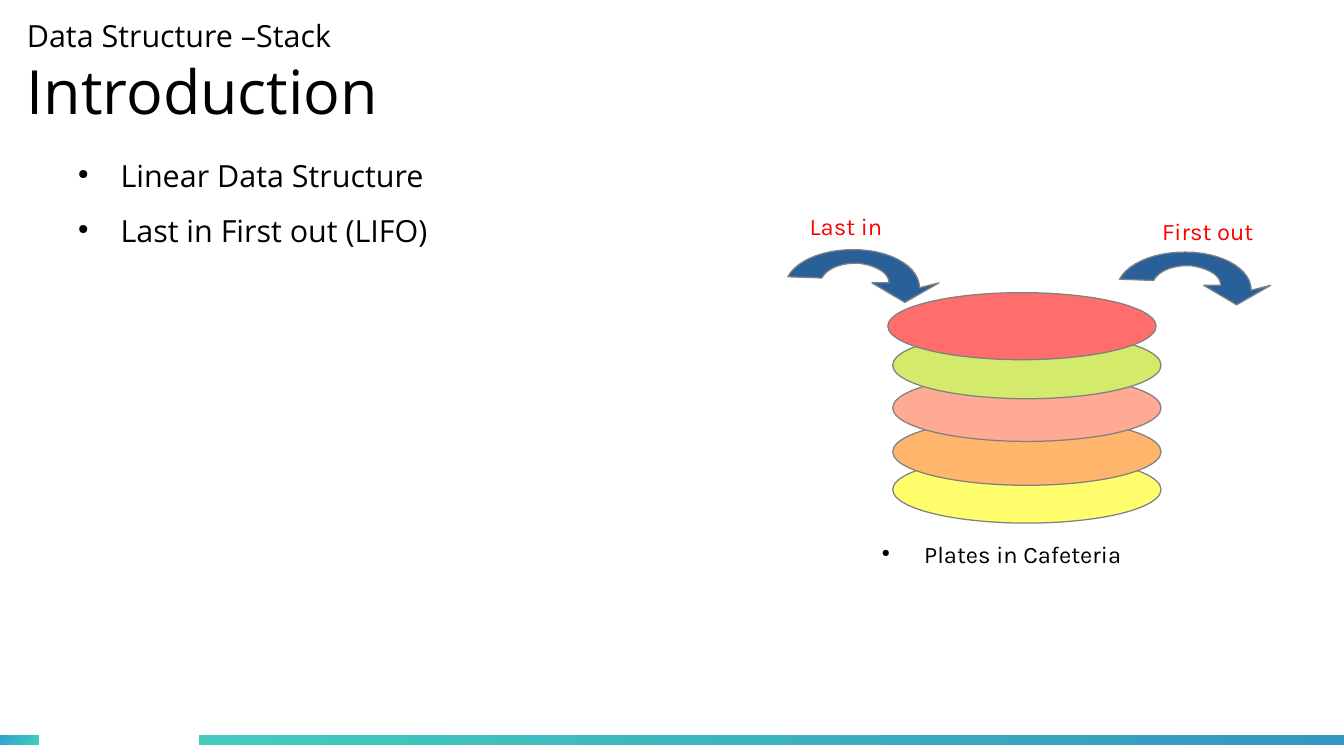
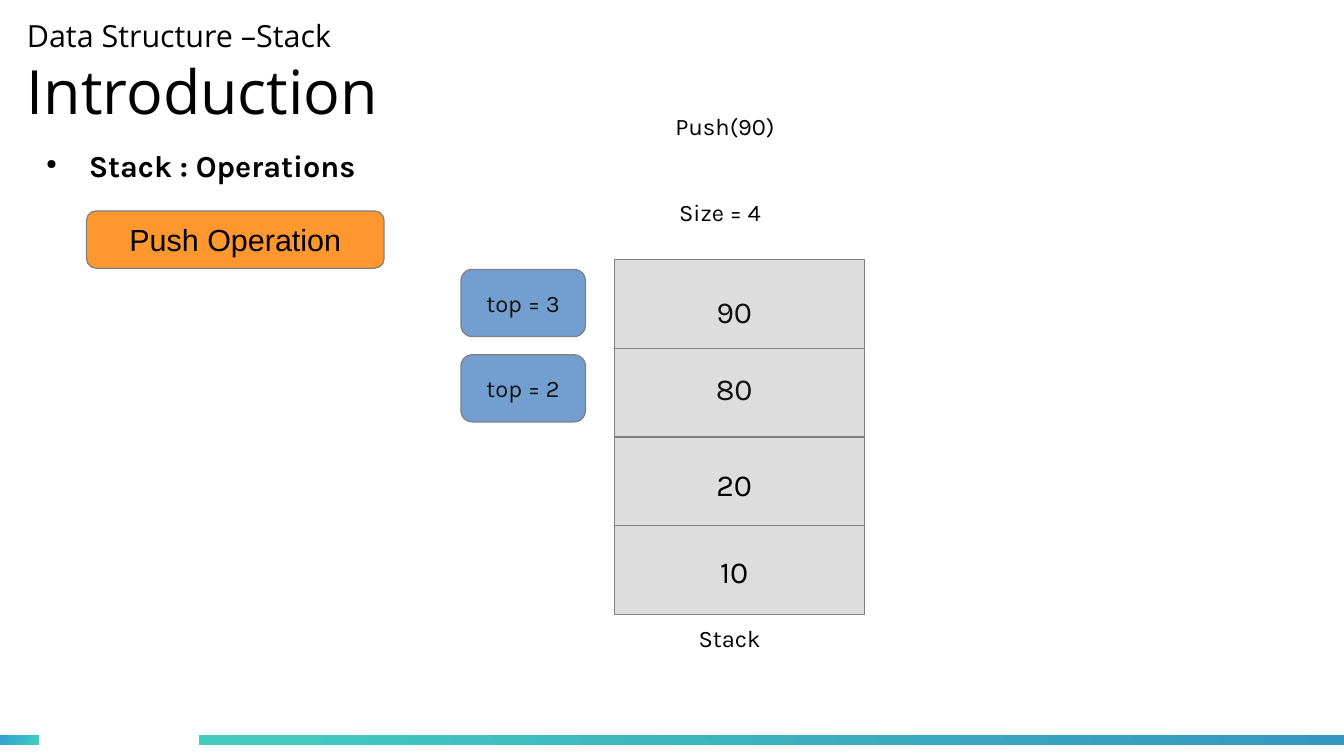
from lxml import etree
from pptx import Presentation
from pptx.dml.color import RGBColor
from pptx.enum.shapes import MSO_SHAPE
from pptx.enum.text import MSO_ANCHOR, MSO_AUTO_SIZE, PP_ALIGN
from pptx.oxml.ns import qn
from pptx.util import Inches, Pt

RECTANGLE = MSO_SHAPE.RECTANGLE
ROUNDED = MSO_SHAPE.ROUNDED_RECTANGLE
ELLIPSE = MSO_SHAPE.OVAL
MIDDLE = MSO_ANCHOR.MIDDLE
GROW = MSO_AUTO_SIZE.SHAPE_TO_FIT_TEXT
LEFT, CENTER = PP_ALIGN.LEFT, PP_ALIGN.CENTER

BLACK, INK, RED = "000000", "111111", "FF0000"
GREY, CELL, POINTER = "808080", "DDDDDD", "729FCF"
ARROW, BUTTON, TEAL = "2A6099", "FF972F", "43CCBD"
HEADING_FONT, BODY_FONT, BUTTON_FONT = "Open Sans", "Karla", "Arial"

ARROW_START = (0.83, 0.31)
ARROW_SEGMENTS = [
    [(0.83, 0.23), (0.73, 0.17), (0.59, 0.15)],
    [(0.45, 0.14), (0.32, 0.19), (0.28, 0.27)],
    [(0, 0.26)],
    [(0.08, 0.11), (0.34, 0.02), (0.61, 0.04)],
    [(0.88, 0.06), (1.08, 0.19), (1.08, 0.35)],
    [(1.24, 0.31)],
    [(0.96, 0.47)],
    [(0.69, 0.31)],
]
CURVE_STEPS = 12


def color(value):
    return RGBColor.from_string(value)


def style_span(span, size, font=BODY_FONT, ink=BLACK, bold=False):
    span.font.size = Pt(size)
    span.font.name = font
    span.font.color.rgb = color(ink)
    span.font.bold = bold


def style_shape(shape, fill, outlined=True):
    shape.shadow.inherit = False
    shape.fill.solid()
    shape.fill.fore_color.rgb = color(fill)
    if outlined:
        shape.line.color.rgb = color(GREY)
        shape.line.width = Pt(0)
    else:
        shape.line.fill.background()


def add_block(shapes, kind, left, top, width, height, fill, outlined=True):
    block = shapes.add_shape(kind, Inches(left), Inches(top), Inches(width), Inches(height))
    style_shape(block, fill, outlined)
    return block


def write_label(block, text, size, font=BODY_FONT, ink=BLACK):
    frame = block.text_frame
    frame.text = text
    frame.word_wrap = False
    frame.vertical_anchor = MIDDLE
    para = frame.paragraphs[0]
    para.alignment = CENTER
    style_span(para.runs[0], size, font, ink)


def add_text(slide, text, left, top, width, height, size=14, font=BODY_FONT,
             ink=BLACK, bold=False, wrap=False):
    box = slide.shapes.add_textbox(Inches(left), Inches(top), Inches(width), Inches(height))
    frame = box.text_frame
    frame.text = text
    frame.word_wrap = wrap
    frame.auto_size = GROW
    para = frame.paragraphs[0]
    style_span(para.runs[0], size, font, ink, bold)
    return para


def add_bullet(slide, text, left, top, width, height, size=18, font=BODY_FONT, bold=False):
    para = add_text(slide, text, left, top, width, height, size, font, bold=bold, wrap=True)
    para.space_after = Pt(11.4)
    properties = para.runs[0].font and para._p.get_or_add_pPr()
    properties.set("marL", str(Inches(0.47)))
    properties.set("indent", str(Inches(-0.35)))
    bullet_color = etree.SubElement(properties, qn("a:buClr"))
    etree.SubElement(bullet_color, qn("a:srgbClr"), val=BLACK)
    etree.SubElement(properties, qn("a:buSzPct"), val="45000")
    etree.SubElement(properties, qn("a:buChar"), char="●")


def curve_point(points, ratio):
    rest = 1 - ratio
    weights = (rest ** 3, 3 * rest ** 2 * ratio, 3 * rest * ratio ** 2, ratio ** 3)
    return tuple(sum(weight * point[axis] for weight, point in zip(weights, points))
                 for axis in (0, 1))


def arrow_outline():
    outline = [ARROW_START]
    for segment in ARROW_SEGMENTS:
        if len(segment) == 1:
            outline += segment
        else:
            controls = [outline[-1]] + segment
            outline += [curve_point(controls, step / CURVE_STEPS)
                        for step in range(1, CURVE_STEPS + 1)]
    return outline


def add_curved_arrow(slide, left, top):
    points = [(Inches(left + x), Inches(top + y)) for x, y in arrow_outline()]
    builder = slide.shapes.build_freeform(*points[0])
    builder.add_line_segments(points[1:], close=True)
    style_shape(builder.convert_to_shape(), ARROW)


def add_footer_bands(slide):
    layout = slide.slide_layout
    for holder in list(layout.placeholders)[1:]:
        layout.shapes.element.remove(holder.element)
    for left, width, end_color, flips in ((0, 0.32, "30A2D2", ["flipV"]),
                                          (1.63, 9.4, "3497C1", ["flipH", "flipV"])):
        band = add_block(slide.shapes, RECTANGLE, left, 6.03, width, 0.08, TEAL, False)
        band.fill.gradient()
        band.fill.gradient_angle = 210
        for stop, value in zip(band.fill.gradient_stops, (TEAL, end_color)):
            stop.color.rgb = color(value)
        for flip in flips:
            band.element.spPr.find(qn("a:xfrm")).set(flip, "1")
        layout.shapes.element.append(band.element)


def add_titled_slide(deck):
    slide = deck.slides.add_slide(deck.slide_layouts[5])
    title = slide.shapes.title
    title.left, title.top = Inches(0.22), Inches(0.08)
    title.width, title.height = Inches(7.68), Inches(1.02)
    frame = title.text_frame
    frame.margin_left = frame.margin_right = frame.margin_top = frame.margin_bottom = 0
    frame.vertical_anchor = MIDDLE
    frame.word_wrap = True
    frame.auto_size = GROW
    para = frame.paragraphs[0]
    para.text = "Data Structure –Stack\vIntroduction"
    para.alignment = LEFT
    for span, size in zip(para.runs, (18, 36)):
        style_span(span, size, HEADING_FONT)
    line_break = title.element.find(".//" + qn("a:br"))
    etree.SubElement(line_break, qn("a:rPr"), sz="1800")
    return slide


def build_plates_slide(deck):
    slide = add_titled_slide(deck)
    add_footer_bands(slide)
    add_bullet(slide, "Linear Data Structure", 0.42, 1.24, 4.1, 0.46, font=HEADING_FONT)
    add_bullet(slide, "Last in First out (LIFO)", 0.42, 1.69, 4.1, 0.47, font=HEADING_FONT)
    for left, top, fill in ((7.32, 3.74, "FFFF6D"), (7.32, 3.43, "FFB66C"),
                            (7.32, 3.07, "FFAA95"), (7.32, 2.72, "D4EA6B"),
                            (7.28, 2.4, "FF6D6D")):
        add_block(slide.shapes, ELLIPSE, left, top, 2.2, 0.55, fill)
    add_curved_arrow(slide, 6.46, 2.01)
    add_curved_arrow(slide, 9.18, 2.03)
    add_text(slide, "Last in", 6.54, 1.69, 1.11, 0.39, ink=RED)
    add_text(slide, "First out", 9.43, 1.73, 1.26, 0.39, ink=RED)
    add_bullet(slide, "Plates in Cafeteria", 7.01, 4.38, 2.6, 0.56, size=14)


def build_push_slide(deck):
    slide = add_titled_slide(deck)
    add_bullet(slide, "Stack : Operations", 0.16, 1.16, 3.94, 0.46, bold=True)
    button = add_block(slide.shapes, ROUNDED, 0.71, 1.73, 2.44, 0.47, BUTTON)
    write_label(button, "Push Operation", 18, BUTTON_FONT)
    add_text(slide, "Push(90)", 5.44, 0.87, 1.25, 0.36)
    add_text(slide, "Size = 4", 5.47, 1.57, 1.25, 0.36)
    add_text(slide, "Stack", 5.63, 5.07, 0.74, 0.36)

    stack = slide.shapes.add_group_shape()
    cell_height = 2.91 / 4
    for row in range(4):
        add_block(stack.shapes, RECTANGLE, 5.04, 2.13 + row * cell_height,
                  2.05, cell_height, CELL)
    for text, top, ink in (("90", 2.28, INK), ("80", 2.91, INK),
                           ("20", 3.7, BLACK), ("10", 4.41, BLACK)):
        value = add_block(slide.shapes, RECTANGLE, 5.51, top, 1.02, 0.55, CELL, False)
        write_label(value, text, 18, ink=ink)
    for text, top in (("top = 3", 2.21), ("top = 2", 2.91)):
        pointer = add_block(slide.shapes, ROUNDED, 3.78, top, 1.02, 0.55, POINTER)
        write_label(pointer, text, 14, ink=INK)


def main():
    deck = Presentation()
    deck.slide_width, deck.slide_height = Inches(11.02), Inches(6.2)
    build_plates_slide(deck)
    build_push_slide(deck)
    deck.save("out.pptx")


if __name__ == "__main__":
    main()
